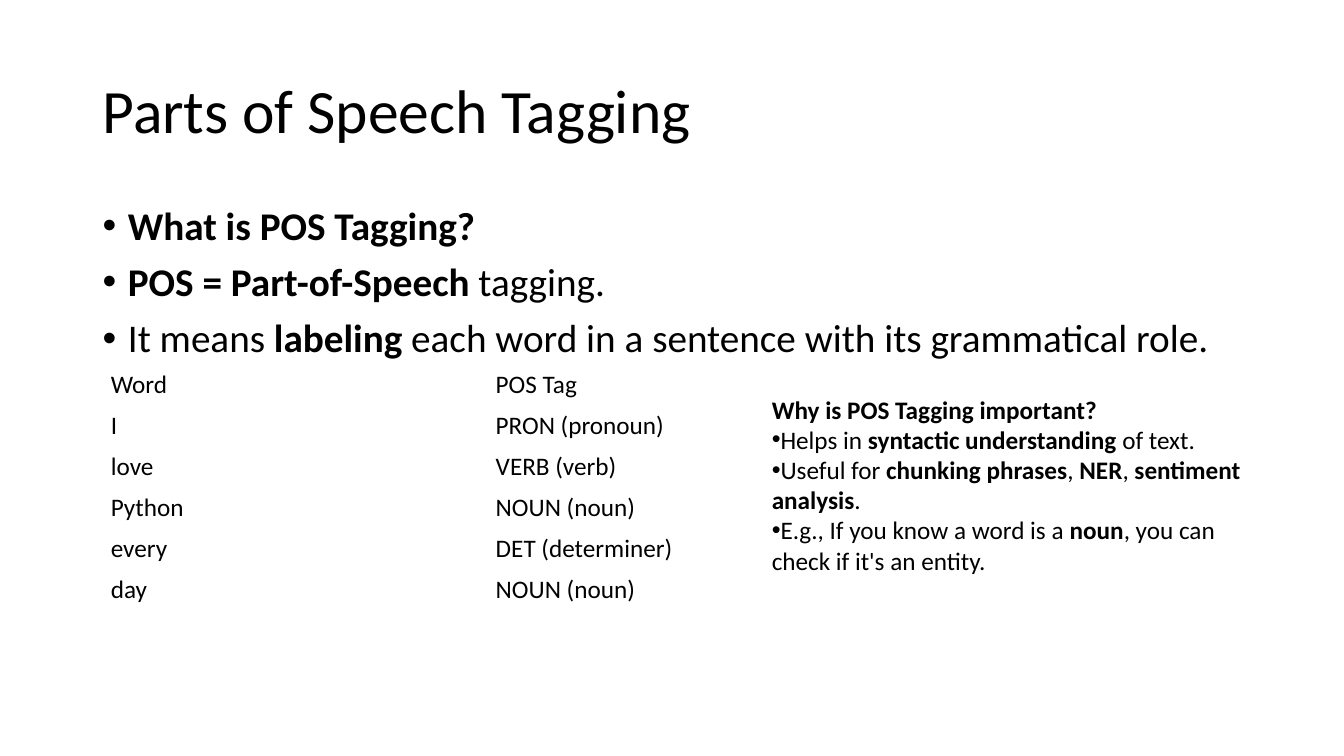
from lxml.etree import SubElement
from pptx import Presentation
from pptx.dml.color import RGBColor
from pptx.enum.text import MSO_ANCHOR as Anchor, MSO_AUTO_SIZE as AutoSize, PP_ALIGN as Align
from pptx.oxml.ns import qn
from pptx.util import Cm, Pt

BLACK = RGBColor(0x00, 0x00, 0x00)
TITLE_AND_CONTENT = 1

TITLE = "Parts of Speech Tagging"
# Text between double asterisks is bold.
DEFINITION = [
    "**What is POS Tagging?**",
    "**POS = Part-of-Speech** tagging.",
    "It means **labeling** each word in a sentence with its grammatical role.",
]
TAGS = [
    ("Word", "POS Tag"),
    ("I", "PRON (pronoun)"),
    ("love", "VERB (verb)"),
    ("Python", "NOUN (noun)"),
    ("every", "DET (determiner)"),
    ("day", "NOUN (noun)"),
]
IMPORTANCE_HEADING = "**Why is POS Tagging important?**"
IMPORTANCE = [
    "Helps in **syntactic understanding** of text.",
    "Useful for **chunking phrases**, **NER**, **sentiment analysis**.",
    "E.g., If you know a word is a **noun**, you can check if it's an entity.",
]

TITLE_FORMAT = {"alignment": Align.LEFT, "line_spacing": 0.9, "space_before": Pt(0)}
LIST_FORMAT = {"alignment": Align.LEFT, "line_spacing": 0.9, "space_before": Pt(10)}
PLAIN_FORMAT = {"alignment": Align.LEFT}


def set_attributes(target, values):
    for name, value in values.items():
        setattr(target, name, value)


def place(shape, box):
    set_attributes(shape, dict(zip(("left", "top", "width", "height"), box)))


def add_bullet(paragraph, indent):
    """Give the paragraph a round bullet that hangs by the indent."""
    properties = paragraph._p.get_or_add_pPr()
    properties.set("marL", str(indent))
    properties.set("indent", str(-indent))
    SubElement(properties, qn("a:buFont"), typeface="Arial")
    SubElement(properties, qn("a:buChar"), char="•")


def write_paragraph(paragraph, text, size, paragraph_format):
    """Write the text as runs, with the marked parts in bold."""
    set_attributes(paragraph, paragraph_format)
    for index, part in enumerate(text.split("**")):
        if part:
            run = paragraph.add_run()
            run.text = part
            bold = index % 2 == 1
            set_attributes(run.font, {"name": "Calibri", "size": Pt(size), "bold": bold})
            run.font.color.rgb = BLACK


def write_bullets(paragraphs, texts, size, paragraph_format, indent):
    for paragraph, text in zip(paragraphs, texts):
        write_paragraph(paragraph, text, size, paragraph_format)
        add_bullet(paragraph, indent)


def fill_title(slide, box):
    title = slide.shapes.title
    place(title, box)
    set_attributes(title.text_frame, {"vertical_anchor": Anchor.MIDDLE, "auto_size": AutoSize.NONE})
    write_paragraph(title.text_frame.paragraphs[0], TITLE, 44, TITLE_FORMAT)


def fill_definition(slide, box):
    body = slide.placeholders[1]
    place(body, box)
    frame = body.text_frame
    set_attributes(frame, {"vertical_anchor": Anchor.TOP, "auto_size": AutoSize.NONE})
    paragraphs = [frame.paragraphs[0]] + [frame.add_paragraph() for _ in DEFINITION[1:]]
    write_bullets(paragraphs, DEFINITION, 28, LIST_FORMAT, Cm(0.64))


def add_tag_table(slide, box):
    table = slide.shapes.add_table(len(TAGS), len(TAGS[0]), *box).table
    set_attributes(table, {"first_row": False, "horz_banding": False})
    for row, texts in enumerate(TAGS):
        for column, text in enumerate(texts):
            cell = table.cell(row, column)
            cell.fill.background()
            cell.vertical_anchor = Anchor.MIDDLE
            write_paragraph(cell.text_frame.paragraphs[0], text, 18, PLAIN_FORMAT)


def add_importance(slide, box):
    frame = slide.shapes.add_textbox(*box).text_frame
    set_attributes(frame, {"word_wrap": True, "auto_size": AutoSize.SHAPE_TO_FIT_TEXT})
    write_paragraph(frame.paragraphs[0], IMPORTANCE_HEADING, 18, PLAIN_FORMAT)
    paragraphs = [frame.add_paragraph() for _ in IMPORTANCE]
    write_bullets(paragraphs, IMPORTANCE, 18, PLAIN_FORMAT, 0)


def main():
    presentation = Presentation()
    set_attributes(presentation, {"slide_width": Cm(33.87), "slide_height": Cm(19.05)})
    slide = presentation.slides.add_slide(presentation.slide_layouts[TITLE_AND_CONTENT])
    fill_title(slide, (Cm(2.33), Cm(1.01), Cm(29.21), Cm(3.68)))
    fill_definition(slide, (Cm(2.33), Cm(5.07), Cm(29.21), Cm(12.09)))
    add_tag_table(slide, (Cm(2.54), Cm(9.19), Cm(19.4), Cm(6.1)))
    add_importance(slide, (Cm(19.2), Cm(9.8), Cm(12.34), Cm(4.88)))
    presentation.save("out.pptx")


if __name__ == "__main__":
    main()
